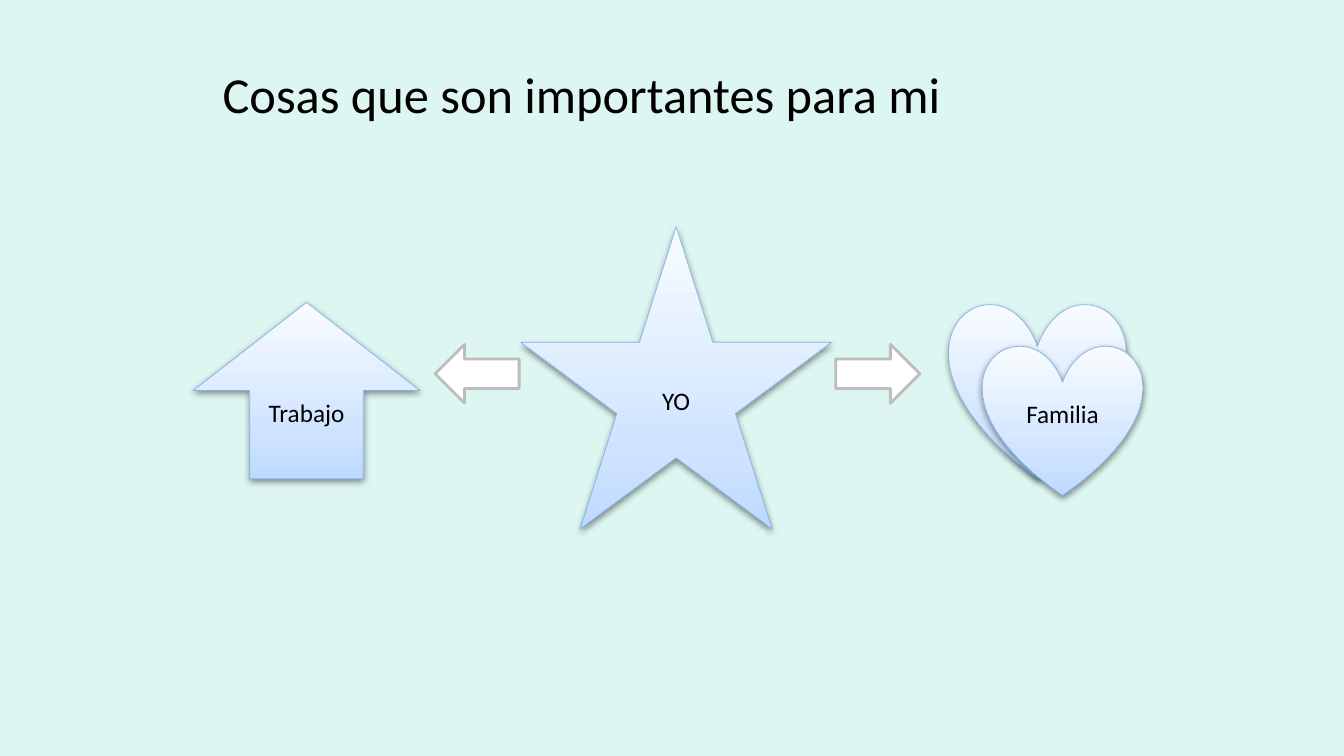
import copy

import pptx
import pptx.dml.color
import pptx.enum.shapes
import pptx.enum.text
import pptx.oxml
import pptx.oxml.ns
import pptx.util

KIND = pptx.enum.shapes.MSO_SHAPE
ALIGN = pptx.enum.text.PP_ALIGN
MIDDLE = pptx.enum.text.MSO_ANCHOR.MIDDLE

# The slide is a grid of 160 columns by 90 rows
CELL = pptx.util.Inches(1 / 12)
COLS, ROWS = 160, 90

MINT, BLACK, WHITE = "DEF6F1", "000000", "FFFFFF"
BLUE, GREY = "7FB3E7", "BDBDBD"
STOPS = [(0, "BDDAFF"), (0.25, "CEE3FF"), (1, "F9FCFF")]

SHADOW = (
    '<a:outerShdw xmlns:a="http://schemas.openxmlformats.org/drawingml/2006/main"'
    ' blurRad="63500" dist="25400" dir="5400000" rotWithShape="0">'
    '<a:srgbClr val="000000"><a:alpha val="43000"/></a:srgbClr></a:outerShdw>'
)


def color(code):
    return pptx.dml.color.RGBColor.from_string(code)


def style(item, values):
    for name, value in values.items():
        setattr(item, name, value)


def grid(*cells):
    return [round(cell * CELL) for cell in cells]


def write(shape, text, size, align):
    frame = shape.text_frame
    style(frame, {"text": text, "word_wrap": True, "vertical_anchor": MIDDLE})
    para = frame.paragraphs[0]
    para.alignment = align
    font = para.runs[0].font
    style(font, {"name": "Calibri", "size": pptx.util.Pt(size)})
    font.color.rgb = color(BLACK)


def outline(shape, code, width):
    shape.line.color.rgb = color(code)
    shape.line.width = pptx.util.Pt(width)


def title(slide, text, box):
    holder = slide.shapes.title
    style(holder, dict(zip(("left", "top", "width", "height"), grid(*box))))
    write(holder, text, 36, ALIGN.LEFT)


def arrow(slide, kind, box):
    shape = slide.shapes.add_shape(kind, *grid(*box))
    shape.shadow.inherit = False
    shape.fill.solid()
    shape.fill.fore_color.rgb = color(WHITE)
    outline(shape, GREY, 2)


def figure(slide, kind, box, text):
    shape = slide.shapes.add_shape(kind, *grid(*box))
    outline(shape, BLUE, 0.5)

    # Three-stop gradient, darkest at the foot
    shape.fill.gradient()
    shape.fill.gradient_angle = 90
    stops = shape._element.spPr.find(".//" + pptx.oxml.ns.qn("a:gsLst"))
    stops.append(copy.deepcopy(stops[-1]))
    for stop, (place, code) in zip(shape.fill.gradient_stops, STOPS):
        stop.position = place
        stop.color.rgb = color(code)

    # Soft shadow below
    shape.shadow.inherit = False
    effects = shape._element.spPr.find(pptx.oxml.ns.qn("a:effectLst"))
    effects.append(pptx.oxml.parse_xml(SHADOW))

    if text:
        write(shape, text, 18, ALIGN.CENTER)


def main():
    deck = pptx.Presentation()
    style(deck, {"slide_width": COLS * CELL, "slide_height": ROWS * CELL})
    slide = deck.slides.add_slide(deck.slide_layouts[5])
    back = slide.background.fill
    back.solid()
    back.fore_color.rgb = color(MINT)

    title(slide, "Cosas que son importantes para mi", (25.3, 3.6, 128, 15))

    # Star in the centre, with an arrow to each side
    figure(slide, KIND.STAR_5_POINT, (62, 27, 37, 36), "YO")
    arrow(slide, KIND.RIGHT_ARROW, (99.5, 41, 10, 7))
    arrow(slide, KIND.LEFT_ARROW, (51.8, 41, 10, 7))

    # Work on the left, family on the right
    figure(slide, KIND.UP_ARROW, (23, 36, 27, 21), "Trabajo")
    figure(slide, KIND.HEART, (113, 36, 21, 21), "")
    figure(slide, KIND.HEART, (117, 41, 19, 18), "Familia")

    deck.save("out.pptx")


if __name__ == "__main__":
    main()
